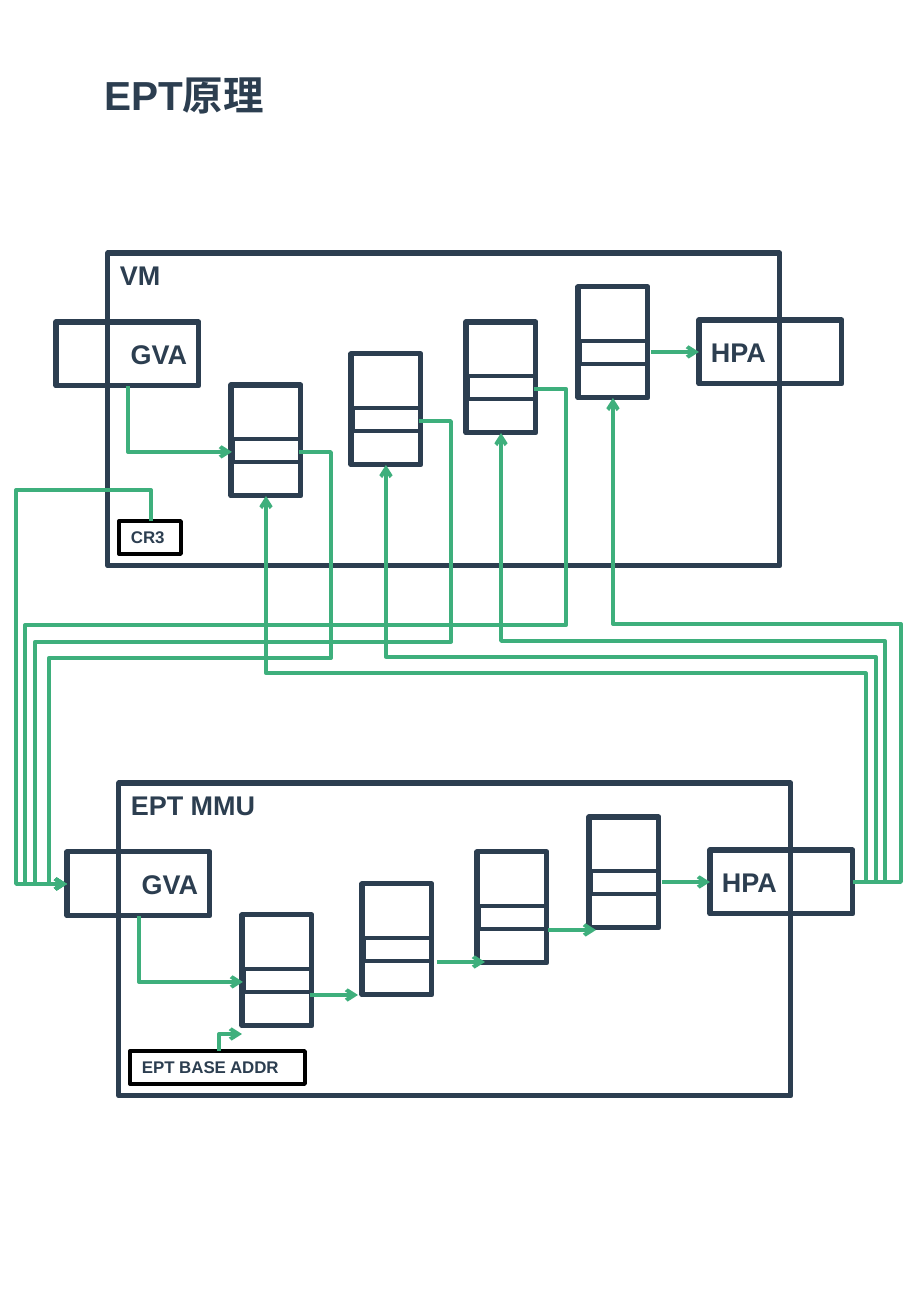
from dataclasses import dataclass

import pptx
import pptx.dml.color
import pptx.enum.shapes
import pptx.enum.text
import pptx.oxml
import pptx.oxml.ns
import pptx.util

Kind = pptx.enum.shapes.MSO_SHAPE
Link = pptx.enum.shapes.MSO_CONNECTOR
Align = pptx.enum.text.PP_ALIGN
Anchor = pptx.enum.text.MSO_ANCHOR
qn = pptx.oxml.ns.qn
Point = tuple[int, int]

SCALE = 914400 / 121.5
NAVY, GREEN, BLACK = "2C3E50", "3EAF7C", "000000"
STEP = (11, 530)  # from the upper panel to the lower one
STACKS = [(231, 385), (351, 354), (466, 322), (578, 287)]


@dataclass
class Box:
    x: int
    y: int
    w: int
    h: int
    text: str = ""
    size: int = 16
    line: str = NAVY
    weight: float = 3
    align: Align = Align.LEFT
    anchor: Anchor = Anchor.MIDDLE
    wrap: bool = True


@dataclass
class Panel:
    name: str
    tag: str
    width: int
    dx: int = 0
    dy: int = 0


def px(n: int) -> pptx.util.Emu:
    return pptx.util.Emu(round(n * SCALE))


def tint(code: str) -> pptx.dml.color.RGBColor:
    return pptx.dml.color.RGBColor.from_string(code)


def write(frame, text: str, size: int, align: Align, anchor: Anchor, wrap: bool) -> None:
    frame.word_wrap = wrap
    frame.auto_size = pptx.enum.text.MSO_AUTO_SIZE.NONE
    frame.vertical_anchor = anchor
    para = frame.paragraphs[0]
    para.alignment = align
    run = para.add_run()
    run.text = text
    run.font.name = "Arial"
    run.font.size = pptx.util.Pt(size)
    run.font.bold = True
    run.font.color.rgb = tint(NAVY)


def draw_box(slide, box: Box):
    shape = slide.shapes.add_shape(Kind.RECTANGLE, px(box.x), px(box.y), px(box.w), px(box.h))
    shape.shadow.inherit = False
    shape.fill.background()
    shape.line.color.rgb = tint(box.line)
    shape.line.width = pptx.util.Pt(box.weight)
    if box.text:
        write(shape.text_frame, box.text, box.size, box.align, box.anchor, box.wrap)
    return shape


def style(wire, end: str) -> None:
    wire.line.color.rgb = tint(GREEN)
    wire.line.width = pptx.util.Pt(2.25)
    props = wire.element.spPr
    tip = pptx.oxml.parse_xml(f'<a:{end} {pptx.oxml.ns.nsdecls("a")} type="arrow"/>')
    props.find(qn("a:ln")).append(tip)
    props.append(pptx.oxml.parse_xml(f'<a:effectLst {pptx.oxml.ns.nsdecls("a")}/>'))


def arrow(slide, start: Point, stop: Point):
    wire = slide.shapes.add_connector(Link.STRAIGHT, *map(px, start + stop))
    style(wire, "tailEnd")
    return wire


def route(slide, points: list[Point], end: str = "tailEnd") -> None:
    """Draw an elbow line whose first leg is level; end names the arrow tip."""
    first, last = points[0], points[-1]
    wire = slide.shapes.add_connector(Link.ELBOW, *map(px, first + last))
    shape = wire.element.spPr.find(qn("a:prstGeom"))
    shape.set("prst", f"bentConnector{len(points)-1}")
    guides = shape.find(qn("a:avLst"))
    # Each bend but the last sets one guide, by turns along x and y
    for i, bend in enumerate(points[1:-2]):
        axis = i % 2
        spot = points[i + 1][axis]
        part = round((spot - first[axis]) / (last[axis] - first[axis]) * 100000)
        guide = guides.makeelement(qn("a:gd"), {"name": f"adj{i + 1}", "fmla": f"val {part}"})
        guides.append(guide)
    style(wire, end)


def draw_panel(slide, panel: Panel) -> None:
    dx, dy = panel.dx, panel.dy
    draw_box(slide, Box(108 + dx, 253 + dy, 672, 313, panel.name, anchor=Anchor.TOP))
    draw_box(slide, Box(56 + dx, 322 + dy, 143, 64, "GVA", align=Align.RIGHT))
    host = draw_box(slide, Box(699 + dx, 320 + dy, 143, 64, "HPA"))
    draw_box(slide, Box(119 + dx, 521 + dy, panel.width, 33, panel.tag, 10, BLACK, 2.25,
                        anchor=Anchor.TOP, wrap=False))
    for x, y in STACKS:
        draw_box(slide, Box(x + dx, y + dy, 70, 111))
        draw_box(slide, Box(x + 2 + dx, y + 54 + dy, 67, 23, weight=2.25))
    arrow(slide, (651 + dx, 352 + dy), (699 + dx, 352 + dy)).end_connect(host, 1)
    route(slide, [(232 + dx, 452 + dy), (128 + dx, 452 + dy), (128 + dx, 386 + dy)], "headEnd")


def main() -> None:
    deck = pptx.Presentation()
    deck.slide_width, deck.slide_height = px(911), px(1316)
    slide = deck.slides.add_slide(deck.slide_layouts[5])

    # Title
    title = slide.shapes.title
    title.left, title.top, title.width, title.height = px(92), px(64), px(186), px(61)
    write(title.text_frame, "EPT原理", 24, Align.LEFT, Anchor.TOP, True)

    # Panels
    draw_panel(slide, Panel("EPT MMU", "EPT BASE ADDR", 175, *STEP))
    draw_panel(slide, Panel("VM", "CR3", 62))

    # Steps inside the lower panel
    for x, y in [(310, 995), (437, 962), (548, 930)]:
        arrow(slide, (x, y), (x + 48, y))
    route(slide, [(242, 1034), (219, 1034), (219, 1051)], "headEnd")

    # Guest side down to the lower GVA
    entry = (67, 884)
    route(slide, [entry, (16, 884), (16, 490), (151, 490), (151, 521)], "headEnd")
    for (x, y), lane, level in zip(STACKS, (49, 35, 25), (658, 642, 625)):
        out, row = x + 68, y + 67
        route(slide, [(out, row), (out + 32, row), (out + 32, level),
                      (lane, level), (lane, 884), entry])

    # Lower HPA back up to each stack
    for (x, y), lane, level in zip(STACKS, (866, 876, 885, 901), (673, 657, 641, 624)):
        mid = x + 35
        route(slide, [(853, 882), (lane, 882), (lane, level), (mid, level), (mid, y + 111)])

    deck.save("out.pptx")


if __name__ == "__main__":
    main()
